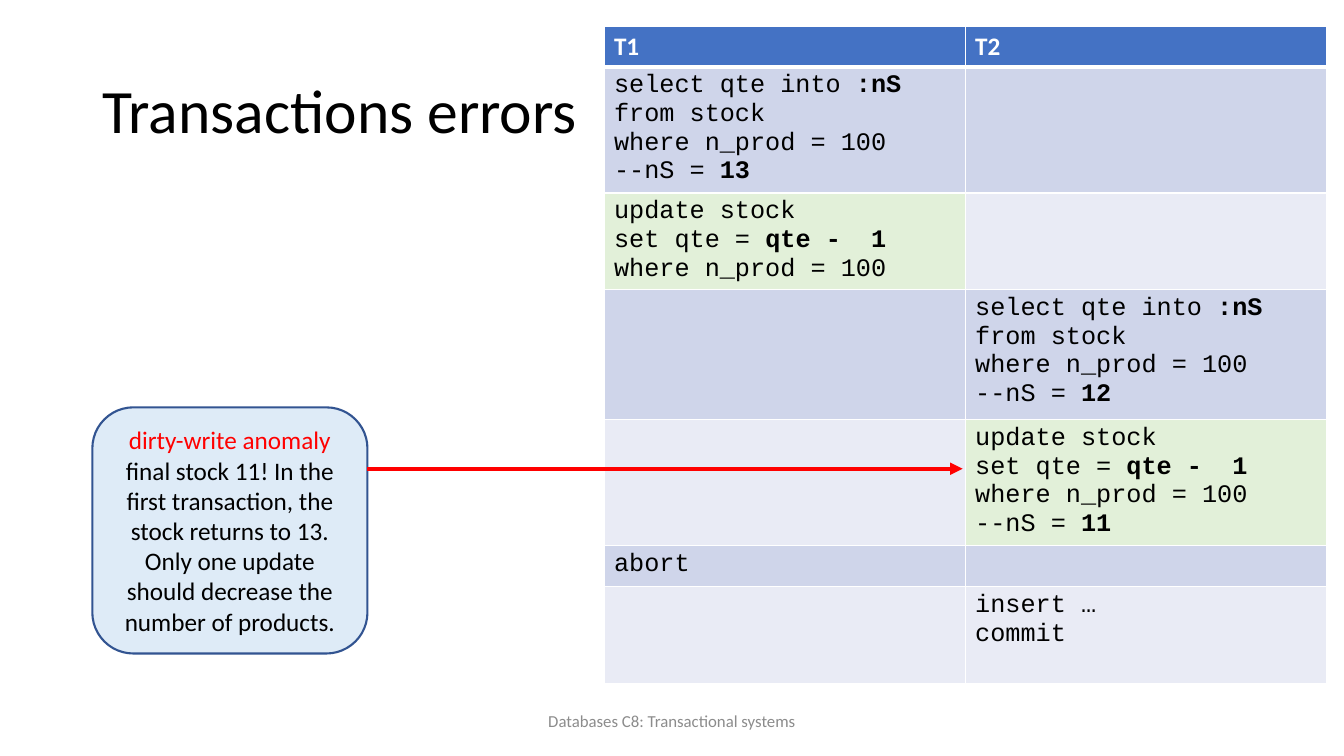
from dataclasses import dataclass

from lxml.etree import SubElement
from pptx import Presentation
from pptx.dml.color import RGBColor
from pptx.enum.shapes import MSO_CONNECTOR, MSO_SHAPE
from pptx.enum.text import MSO_ANCHOR, MSO_AUTO_SIZE, PP_ALIGN
from pptx.oxml.ns import qn
from pptx.slide import Slide
from pptx.table import _Cell
from pptx.text.text import TextFrame
from pptx.util import Emu, Inches, Pt

COLORS = {
    "black": "000000",
    "white": "FFFFFF",
    "red": "FF0000",
    "gray": "8C8C8C",
    "header": "4472C4",
    "odd_row": "CFD5EA",
    "even_row": "E9EBF5",
    "update": "E2F0D9",
    "callout": "DEEBF7",
    "callout_edge": "325491",
}
TEXT_FONT = "Calibri"
CODE_FONT = "Courier New"
SLIDE_WIDTH, SLIDE_HEIGHT = Inches(40 / 3), Inches(7.5)
GRID_COLUMNS, GRID_ROWS = 160, 90


@dataclass(frozen=True)
class Area:
    column: float
    row: float
    columns: float
    rows: float

    def lengths(self) -> tuple[Emu, Emu, Emu, Emu]:
        return across(self.column), down(self.row), across(self.columns), down(self.rows)


@dataclass(frozen=True)
class Line:
    plain: str
    bold: str = ""


@dataclass(frozen=True)
class Step:
    height: float
    first: tuple[Line, ...] = ()
    second: tuple[Line, ...] = ()


def across(columns: float) -> Emu:
    return Emu(round(SLIDE_WIDTH * columns / GRID_COLUMNS))


def down(rows: float) -> Emu:
    return Emu(round(SLIDE_HEIGHT * rows / GRID_ROWS))


def color(name: str) -> RGBColor:
    return RGBColor.from_string(COLORS[name])


def select_stock(quantity: str) -> tuple[Line, ...]:
    return (
        Line("select qte into ", ":nS"),
        Line("from stock"),
        Line("where n_prod = 100"),
        Line("--nS = ", quantity),
    )


UPDATE_STOCK = (
    Line("update stock"),
    Line("set qte = ", "qte -  1"),
    Line("where n_prod = 100"),
)
STEPS = (
    Step(4.6, (Line("", "T1"),), (Line("", "T2"),)),
    Step(15, first=select_stock("13")),
    Step(11.5, first=UPDATE_STOCK),
    Step(15.5, second=select_stock("12")),
    Step(15, second=(*UPDATE_STOCK, Line("--nS = ", "11"))),
    Step(4.7, first=(Line("abort"),)),
    Step(11.6, second=(Line("insert …"), Line("commit"))),
)
TITLE_AREA = Area(11, 4.8, 138, 17.4)
TABLE_AREA = Area(71.9, 3.1, 86, sum(step.height for step in STEPS))
FOOTER_AREA = Area(53, 83.4, 54, 4.8)
CALLOUT_AREA = Area(11, 48.5, 32.75, 29.3)
ARROW_ROW = 55.8


def write_lines(
    frame: TextFrame, lines: tuple[Line, ...], font: str, size: float,
    colors: tuple[str, ...], alignment: PP_ALIGN = PP_ALIGN.LEFT,
) -> None:
    for index, line in enumerate(lines):
        paragraph = frame.add_paragraph() if index else frame.paragraphs[0]
        paragraph.alignment = alignment
        paragraph.font.name = font
        paragraph.font.size = Pt(size)
        paragraph.font.color.rgb = color(colors[min(index, len(colors) - 1)])
        for text, bold in ((line.plain, False), (line.bold, True)):
            if text:
                run = paragraph.add_run()
                run.text = text
                run.font.bold = bold


def draw_borders(cell: _Cell, bottom_width: float) -> None:
    properties = cell._tc.get_or_add_tcPr()
    for side, width in (("L", 1), ("R", 1), ("T", 1), ("B", bottom_width)):
        border = SubElement(properties, qn(f"a:ln{side}"), w=str(Pt(width)))
        fill = SubElement(border, qn("a:solidFill"))
        SubElement(fill, qn("a:srgbClr"), val=COLORS["white"])


def add_title(slide: Slide) -> None:
    title = slide.shapes.title
    title.left, title.top, title.width, title.height = TITLE_AREA.lengths()
    frame = title.text_frame
    frame.auto_size = MSO_AUTO_SIZE.NONE
    frame.vertical_anchor = MSO_ANCHOR.MIDDLE
    write_lines(frame, (Line("Transactions errors"),), TEXT_FONT, 44, ("black",))
    frame.paragraphs[0].line_spacing = 0.9


def add_schedule(slide: Slide) -> None:
    table = slide.shapes.add_table(len(STEPS), 2, *TABLE_AREA.lengths()).table
    for row_index, step in enumerate(STEPS):
        table.rows[row_index].height = down(step.height)
        is_header = row_index == 0
        band = "header" if is_header else ("even_row", "odd_row")[row_index % 2]
        for column_index, lines in enumerate((step.first, step.second)):
            cell = table.cell(row_index, column_index)
            draw_borders(cell, 3 if is_header else 1)
            is_update = lines[:3] == UPDATE_STOCK
            cell.fill.solid()
            cell.fill.fore_color.rgb = color("update" if is_update else band)
            write_lines(
                cell.text_frame, lines, TEXT_FONT if is_header else CODE_FONT, 18,
                ("white" if is_header else "black",),
            )


def add_footer(slide: Slide) -> None:
    frame = slide.shapes.add_textbox(*FOOTER_AREA.lengths()).text_frame
    frame.word_wrap = True
    frame.vertical_anchor = MSO_ANCHOR.MIDDLE
    lines = (Line("Databases C8: Transactional systems"),)
    write_lines(frame, lines, TEXT_FONT, 12, ("gray",), PP_ALIGN.CENTER)


def add_callout(slide: Slide) -> None:
    shape = slide.shapes.add_shape(MSO_SHAPE.ROUNDED_RECTANGLE, *CALLOUT_AREA.lengths())
    shape.shadow.inherit = False
    shape.fill.solid()
    shape.fill.fore_color.rgb = color("callout")
    shape.line.color.rgb = color("callout_edge")
    shape.line.width = Pt(1.5)
    frame = shape.text_frame
    frame.word_wrap = True
    frame.vertical_anchor = MSO_ANCHOR.MIDDLE
    lines = (
        Line("dirty-write anomaly"),
        Line(
            "final stock 11! In the first transaction, the stock returns to 13. "
            "Only one update should decrease the number of products."
        ),
    )
    write_lines(frame, lines, TEXT_FONT, 18, ("red", "black"), PP_ALIGN.CENTER)


def add_arrow(slide: Slide) -> None:
    start = CALLOUT_AREA.column + CALLOUT_AREA.columns
    end = TABLE_AREA.column + TABLE_AREA.columns / 2 - 0.3
    arrow = slide.shapes.add_connector(
        MSO_CONNECTOR.STRAIGHT, across(start), down(ARROW_ROW), across(end), down(ARROW_ROW)
    )
    arrow.line.color.rgb = color("red")
    arrow.line.width = Pt(3)
    SubElement(arrow.line._get_or_add_ln(), qn("a:tailEnd"), type="triangle")
    SubElement(arrow._element.spPr, qn("a:effectLst"))


def main() -> None:
    presentation = Presentation()
    presentation.slide_width, presentation.slide_height = SLIDE_WIDTH, SLIDE_HEIGHT
    slide = presentation.slides.add_slide(presentation.slide_layouts[5])
    for add_part in (add_title, add_schedule, add_footer, add_callout, add_arrow):
        add_part(slide)
    presentation.save("out.pptx")


if __name__ == "__main__":
    main()
